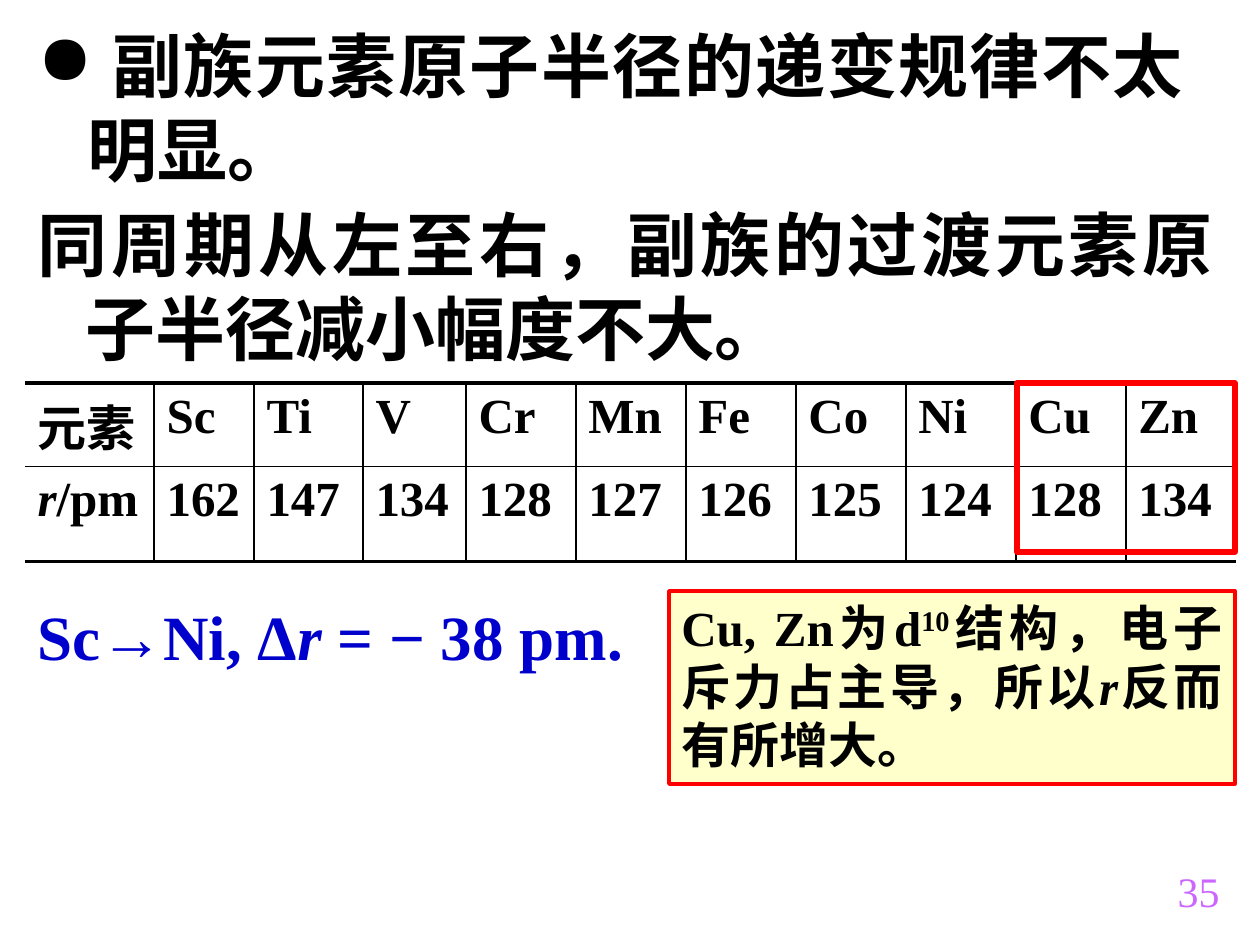
from lxml import etree
from pptx import Presentation
from pptx.dml.color import RGBColor
from pptx.enum.shapes import MSO_SHAPE
from pptx.enum.text import MSO_ANCHOR, MSO_AUTO_SIZE, PP_ALIGN
from pptx.oxml.ns import qn
from pptx.util import Pt

PX = 914400 / 126
FONT = "Times New Roman"
RECTANGLE = MSO_SHAPE.RECTANGLE
TOP = MSO_ANCHOR.TOP
NO_AUTOFIT = MSO_AUTO_SIZE.NONE
LEFT, RIGHT, JUSTIFY = PP_ALIGN.LEFT, PP_ALIGN.RIGHT, PP_ALIGN.JUSTIFY
COLORS = {
    "text": "000000",
    "formula": "0000CC",
    "number": "CC66FF",
    "accent": "FF0000",
    "note": "FFFFCC",
}


def box(left, top, width, height):
    return [round(length * PX) for length in (left, top, width, height)]


def write(text_frame, runs, size, color="text", align=LEFT, bold=True):
    text_frame.word_wrap = True
    text_frame.auto_size = NO_AUTOFIT
    text_frame.vertical_anchor = TOP
    paragraph = text_frame.paragraphs[0]
    paragraph.alignment = align
    paragraph.space_before = Pt(0)
    for text, style in runs:
        run = paragraph.add_run()
        run.text = text
        run.font.name = FONT
        run.font.size = Pt(size)
        run.font.bold = bold
        run.font.italic = style == "italic"
        run.font.color.rgb = RGBColor.from_string(COLORS[color])
        if style == "superscript":
            run._r.get_or_add_rPr().set("baseline", "30000")
    return paragraph


presentation = Presentation()
presentation.slide_width, presentation.slide_height = box(0, 0, 1260, 945)[2:]
slide = presentation.slides.add_slide(presentation.slide_layouts[1])
title = slide.shapes.title._element
title.getparent().remove(title)

body = slide.placeholders[1]
body.left, body.top, body.width, body.height = box(25, 195, 1201, 189)
body_paragraph = write(
    body.text_frame,
    [("同周期从左至右，副族的过渡元素原子半径减小幅度不大。", "")],
    40, align=JUSTIFY)

page_number = slide.shapes.add_textbox(*box(1116, 859, 116, 63))
write(page_number.text_frame, [("35", "")], 24, "number", RIGHT, bold=False)

rule = slide.shapes.add_textbox(*box(25, 16, 1171, 180))
rule_paragraph = write(
    rule.text_frame, [(" 副族元素原子半径的递变规律不太明显。", "")],
    40, align=JUSTIFY)

for paragraph, indent, bullet in ((body_paragraph, 48, None), (rule_paragraph, 50, "●")):
    properties = paragraph._p.get_or_add_pPr()
    properties.set("marL", str(round(indent * PX)))
    properties.set("indent", str(round(-indent * PX)))
    if bullet:
        etree.SubElement(properties, qn("a:buChar")).set("char", bullet)
    else:
        etree.SubElement(properties, qn("a:buNone"))

formula = slide.shapes.add_textbox(*box(25, 591, 684, 88))
write(formula.text_frame,
      [("Sc→Ni, Δ", ""), ("r", "italic"), (" = − 38 pm.", "")],
      36, "formula")

radii = [
    ("Sc", 162), ("Ti", 147), ("V", 134), ("Cr", 128), ("Mn", 127),
    ("Fe", 126), ("Co", 125), ("Ni", 124), ("Cu", 128), ("Zn", 134),
]
rows = [
    [[("元素", "")]] + [[(symbol, "")] for symbol, radius in radii],
    [[("r", "italic"), ("/pm", "")]] + [[(str(radius), "")] for symbol, radius in radii],
]
column_widths = [129, 100, 109, 103] + [110] * 7
row_heights = [76, 95]
table = slide.shapes.add_table(
    len(rows), len(column_widths),
    *box(25, 383, sum(column_widths), sum(row_heights))).table
table.first_row = False
table.horz_banding = False
for column, width in zip(table.columns, column_widths):
    column.width = round(width * PX)
for row, height in zip(table.rows, row_heights):
    row.height = round(height * PX)

for row_index, row in enumerate(rows):
    for column_index, runs in enumerate(row):
        cell = table.cell(row_index, column_index)
        write(cell.text_frame, runs, 28)
        borders = {
            "a:lnL": 1 if column_index > 0 else 0,
            "a:lnR": 1 if column_index < len(row) - 1 else 0,
            "a:lnT": 2.25 if row_index == 0 else 1,
            "a:lnB": 2.25 if row_index == len(rows) - 1 else 1,
        }
        cell_properties = cell._tc.get_or_add_tcPr()
        for tag, weight in borders.items():
            line = etree.SubElement(cell_properties, qn(tag))
            if weight:
                line.set("w", str(Pt(weight)))
                fill = etree.SubElement(line, qn("a:solidFill"))
                etree.SubElement(fill, qn("a:srgbClr")).set("val", COLORS["text"])
            else:
                etree.SubElement(line, qn("a:noFill"))
        cell.fill.background()

note = slide.shapes.add_shape(RECTANGLE, *box(669, 591, 566, 193))
note.fill.solid()
note.fill.fore_color.rgb = RGBColor.from_string(COLORS["note"])
write(note.text_frame,
      [("Cu, Zn为d", ""), ("10", "superscript"), ("结构，电子斥力占主导，所以", ""),
       ("r", "italic"), ("反而有所增大。", "")],
      28, align=JUSTIFY)

highlight = slide.shapes.add_shape(RECTANGLE, *box(1017, 383, 218, 169))
highlight.fill.background()

for shape, weight in ((note, 2), (highlight, 3)):
    shape.shadow.inherit = False
    shape.line.color.rgb = RGBColor.from_string(COLORS["accent"])
    shape.line.width = Pt(weight)

presentation.save("out.pptx")
